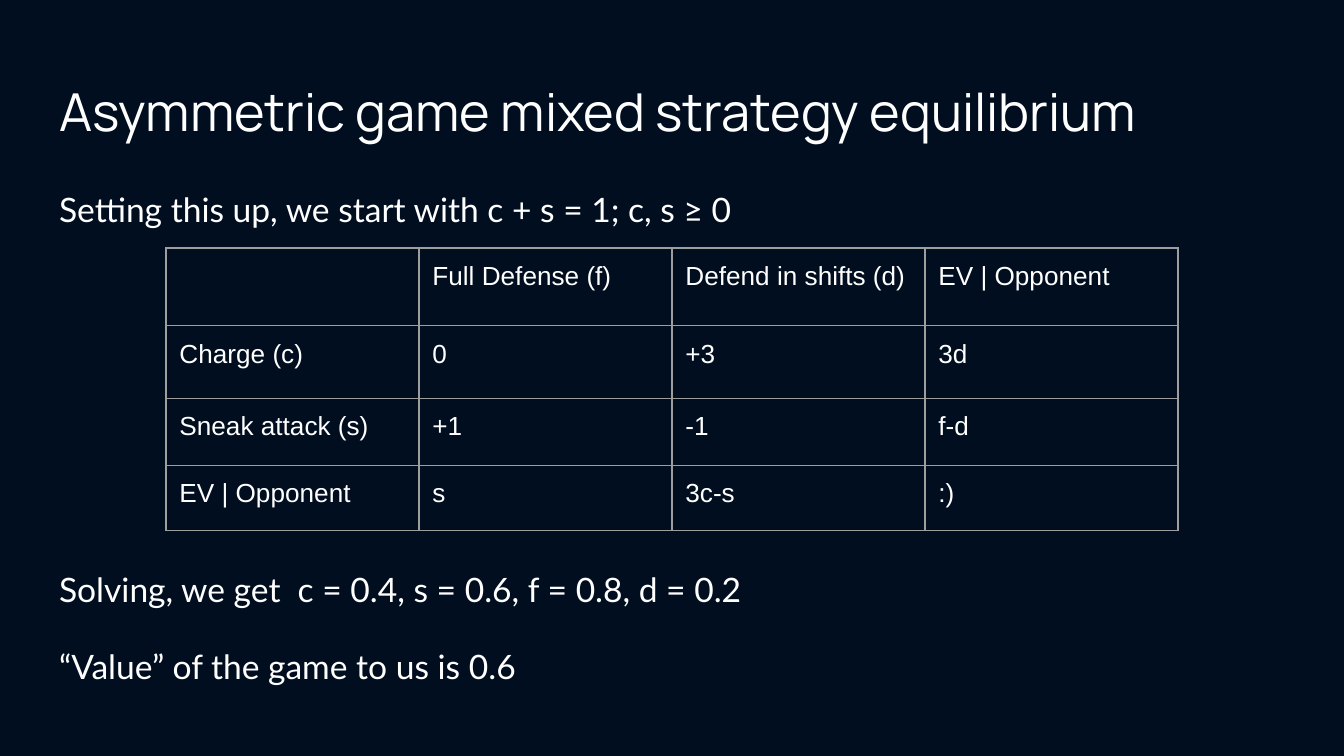
from lxml import etree
from pptx import Presentation
from pptx import util as u
from pptx.dml.color import RGBColor
from pptx.enum import text
from pptx.oxml import ns

WIDE = 10
HIGH = WIDE * 9 / 16
WHITE, GREY, NAVY = "FFFFFF", "9E9E9E", "000E1F"


def tint(code):
    return RGBColor.from_string(code)


class Deck:
    """Holds the style and the current slide; x and w are shares of its
    width, y and h shares of its height."""

    pad = u.Inches(0.1)

    def __init__(self):
        self.show = Presentation()
        self.show.slide_width = u.Inches(WIDE)
        self.show.slide_height = u.Inches(HIGH)
        self.page = self.show.slides.add_slide(self.show.slide_layouts[6])
        fill = self.page.background.fill
        fill.solid()
        fill.fore_color.rgb = tint(NAVY)

    def place(self, x, y, w, h):
        return [u.Inches(n) for n in (x * WIDE, y * HIGH, w * WIDE, h * HIGH)]

    def inset(self, part):
        part.margin_left = part.margin_right = self.pad
        part.margin_top = part.margin_bottom = self.pad

    def run(self, para, words, font, size):
        run = para.add_run()
        run.text = words
        run.font.name = font
        run.font.size = u.Pt(size)
        run.font.color.rgb = tint(WHITE)

    def box(self, area, lines, font, size, lead=1.0):
        """Each line is a pair: its words and the space before it."""
        frame = self.page.shapes.add_textbox(*self.place(*area)).text_frame
        frame.word_wrap = True
        frame.auto_size = text.MSO_AUTO_SIZE.NONE
        self.inset(frame)
        for i, (words, gap) in enumerate(lines):
            para = frame.add_paragraph() if i else frame.paragraphs[0]
            para.line_spacing = lead
            para.space_before = u.Pt(gap)
            self.run(para, words, font, size)

    def edge(self, cell):
        props = cell._tc.get_or_add_tcPr()
        for i, side in enumerate(("lnL", "lnR", "lnT", "lnB")):
            line = etree.Element(ns.qn("a:" + side), w=str(u.Pt(0.75)))
            fill = etree.SubElement(line, ns.qn("a:solidFill"))
            etree.SubElement(fill, ns.qn("a:srgbClr"), val=GREY)
            props.insert(i, line)

    def table(self, area, rows, highs, font, size):
        """Row heights are shares of the table's height."""
        spot = self.place(*area)
        grid = self.page.shapes.add_table(len(rows), len(rows[0]), *spot).table
        grid.first_row = grid.horz_banding = False
        for r, row in enumerate(rows):
            grid.rows[r].height = int(spot[3] * highs[r] / sum(highs))
            for c, words in enumerate(row):
                cell = grid.cell(r, c)
                cell.fill.background()
                self.inset(cell)
                self.edge(cell)
                if words:
                    self.run(cell.text_frame.paragraphs[0], words, font, size)


def main():
    deck = Deck()
    left, span = 0.0341, 0.932

    # Title
    deck.box((left, 0.49 / HIGH, span, 0.63 / HIGH),
             [("Asymmetric game mixed strategy equilibrium", 0)],
             "Manrope", 28)

    # Body, with room for the payoff table after the first line
    deck.box((left, 1.26 / HIGH, span, 3.74 / HIGH),
             [("Setting this up, we start with c + s = 1; c, s ≥ 0", 0),
              ("Solving, we get  c = 0.4, s = 0.6, f = 0.8, d = 0.2", 179),
              ("“Value” of the game to us is 0.6", 16)],
             "Lato", 18, lead=1.15)

    # Payoff table
    deck.table((0.1235, 1.845 / HIGH, 0.753, 2.1 / HIGH),
               [("", "Full Defense (f)", "Defend in shifts (d)", "EV | Opponent"),
                ("Charge (c)", "0", "+3", "3d"),
                ("Sneak attack (s)", "+1", "-1", "f-d"),
                ("EV | Opponent", "s", "3c-s", ":)")],
               (0.58, 0.54, 0.5, 0.48), "Arial", 14)

    deck.show.save("out.pptx")


if __name__ == "__main__":
    main()
